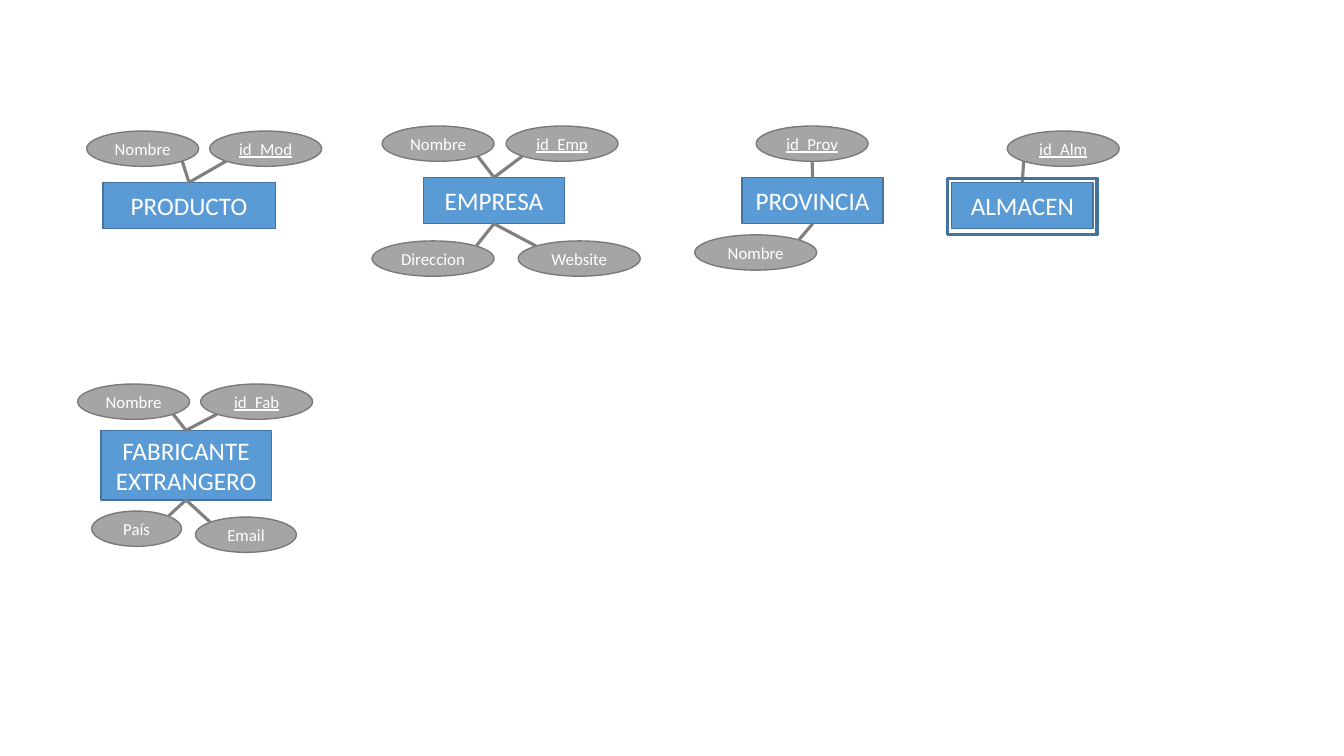
from pptx import Presentation
from pptx.dml.color import RGBColor
from pptx.enum.shapes import MSO_CONNECTOR, MSO_SHAPE
from pptx.enum.text import MSO_ANCHOR, PP_ALIGN
from pptx.oxml.ns import qn
from pptx.util import Inches, Pt
from lxml import etree

RECT, OVAL = MSO_SHAPE.RECTANGLE, MSO_SHAPE.OVAL
STRAIGHT = MSO_CONNECTOR.STRAIGHT
MIDDLE, CENTER = MSO_ANCHOR.MIDDLE, PP_ALIGN.CENTER
TOP, BOTTOM = 0, 2
DIAGONAL = 0.5 ** 0.5  # where an oval meets its 45° radius
OVAL_H = 0.35

COLORS = {
    "entity": "5B9BD5", "entity_line": "43739E",
    "attribute": "A5A5A5", "attribute_line": "7A7A7A",
    "link": "808080", "text": "FFFFFF",
}


class ERDiagram:
    font = "Calibri"

    def __init__(self, slide):
        self.shapes = slide.shapes

    def color(self, name):
        return RGBColor.from_string(COLORS[name])

    def shape(self, kind, box, line, width=1, fill=None):
        sp = self.shapes.add_shape(kind, *map(Inches, box))
        sp.shadow.inherit = False
        if fill:
            sp.fill.solid()
            sp.fill.fore_color.rgb = self.color(fill)
        else:
            sp.fill.background()
        sp.line.color.rgb = self.color(line)
        sp.line.width = Pt(width)
        return sp

    def label(self, sp, text, **fmt):
        tf = sp.text_frame
        tf.word_wrap = True
        tf.vertical_anchor = MIDDLE
        p = tf.paragraphs[0]
        p.alignment = CENTER
        r = p.add_run()
        r.text = text
        for key, value in {"name": self.font, **fmt}.items():
            setattr(r.font, key, value)
        r.font.color.rgb = self.color("text")

    def entity(self, text, box):
        sp = self.shape(RECT, box, "entity_line", fill="entity")
        self.label(sp, text, size=Pt(18))
        return sp

    def attribute(self, text, x, y, w, entity):
        sp = self.shape(OVAL, (x, y, w, OVAL_H), "attribute_line", fill="attribute")
        self.label(sp, text, size=Pt(12), underline=text.startswith("id_") or None)
        self.link(sp, entity)

    def link(self, oval, entity):
        """Join the oval's nearest point to the middle of the entity's side."""
        above = oval.top < entity.top
        cx, cy = oval.left + oval.width / 2, oval.top + oval.height / 2
        dx = entity.left + entity.width / 2 - cx
        dy = oval.height / 2 * (1 if above else -1)
        if abs(dx) > Inches(0.05):  # not straight above or below
            cx += oval.width / 2 * DIAGONAL * (1 if dx > 0 else -1)
            dy *= DIAGONAL
        x, y = int(cx), int(cy + dy)
        cxn = self.shapes.add_connector(STRAIGHT, x, y, x, y)
        cxn.end_connect(entity, TOP if above else BOTTOM)
        cxn.line.color.rgb = self.color("link")
        cxn.line.width = Pt(2.25)
        etree.SubElement(cxn._element.spPr, qn("a:effectLst"))

    def frame(self, box):
        self.shape(RECT, box, "entity_line", 2.25)


# Entity name, box, attributes (text, left, top, width)
ENTITIES = [
    ("PRODUCTO", (1.02, 1.81, 1.71, 0.46),
     [("Nombre", 0.86, 1.3, 1.11), ("id_Mod", 2.08, 1.3, 1.11)]),
    ("EMPRESA", (4.2, 1.76, 1.4, 0.46),
     [("Nombre", 3.79, 1.25, 1.11), ("id_Emp", 5.02, 1.25, 1.11),
      ("Direccion", 3.69, 2.39, 1.21), ("Website", 5.14, 2.39, 1.21)]),
    ("PROVINCIA", (7.36, 1.76, 1.4, 0.46),
     [("id_Prov", 7.5, 1.25, 1.11), ("Nombre", 6.89, 2.33, 1.21)]),
    ("ALMACEN", (9.44, 1.81, 1.4, 0.46),
     [("id_Alm", 9.99, 1.3, 1.11)]),
    ("FABRICANTE EXTRANGERO", (1, 4.27, 1.69, 0.69),
     [("Nombre", 0.77, 3.81, 1.11), ("id_Fab", 1.99, 3.81, 1.11),
      ("País", 0.91, 5.07, 0.89), ("Email", 1.94, 5.13, 1)]),
]


def main():
    prs = Presentation()
    prs.slide_width, prs.slide_height = Inches(13.33), Inches(7.5)
    diagram = ERDiagram(prs.slides.add_slide(prs.slide_layouts[6]))

    # Entities with their attributes
    for name, box, attributes in ENTITIES:
        entity = diagram.entity(name, box)
        for attribute in attributes:
            diagram.attribute(*attribute, entity)

    # Double border of the weak entity ALMACEN
    diagram.frame((9.4, 1.77, 1.48, 0.56))

    prs.save("out.pptx")


if __name__ == "__main__":
    main()
